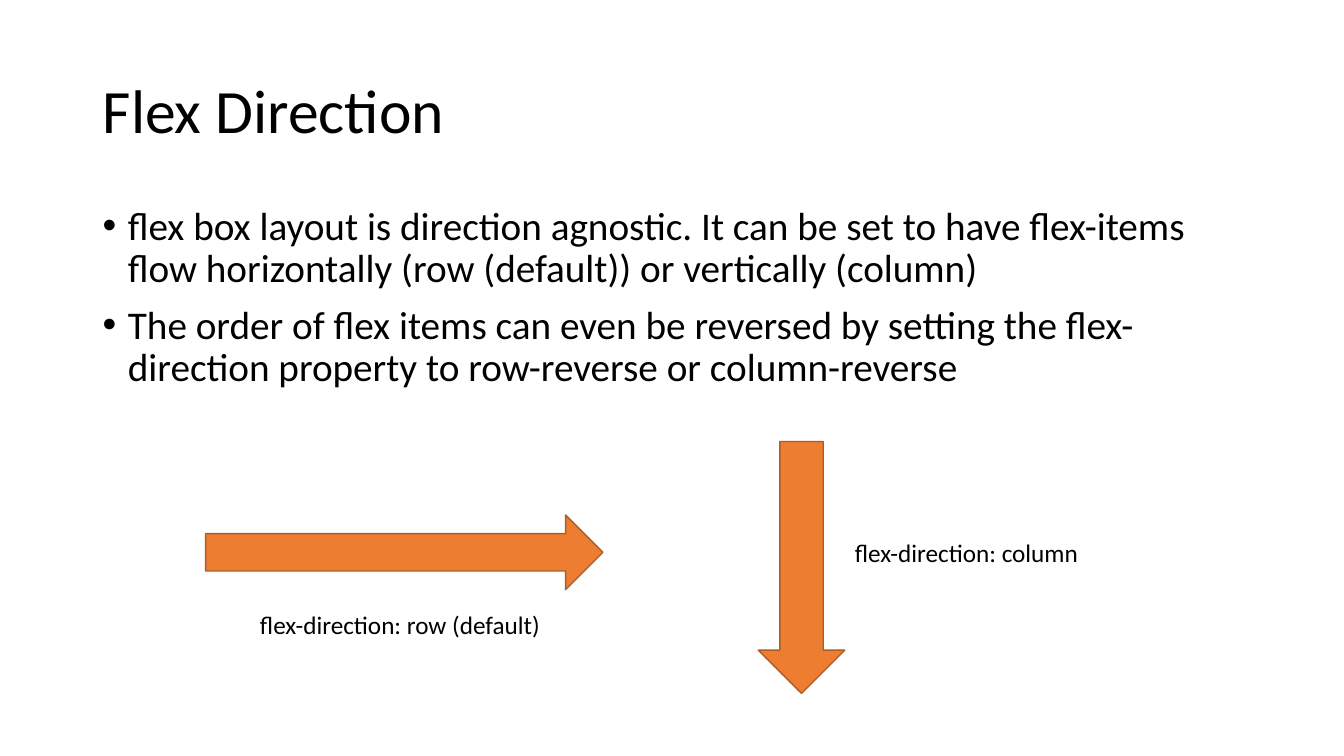
import pptx
import pptx.util
import pptx.dml.color
import pptx.enum.shapes
import pptx.enum.text
import lxml.etree
from pptx.oxml.ns import qn

Inches, Pt = pptx.util.Inches, pptx.util.Pt
SHAPE = pptx.enum.shapes.MSO_SHAPE
ANCHOR = pptx.enum.text.MSO_ANCHOR
ALIGN = pptx.enum.text.PP_ALIGN

COLORS = {"text": "000000", "arrow": "ED7D31", "outline": "AF5C24"}
FONT = "Calibri"
WIDTH, HEIGHT = 13.33, 7.5
MARGIN = 0.92
CONTENT_WIDTH = WIDTH - 2 * MARGIN

BULLETS = [
    "flex box layout is direction agnostic. It can be set to have flex-items "
    "flow horizontally (row (default)) or vertically (column)",
    "The order of flex items can even be reversed by setting the "
    "flex-direction property to row-reverse or column-reverse",
]


def color(name):
    return pptx.dml.color.RGBColor.from_string(COLORS[name])


def style(para, size):
    para.alignment = ALIGN.LEFT
    para.font.name = FONT
    para.font.size = Pt(size)
    para.font.color.rgb = color("text")


def add_text(page, box, lines, size):
    """Add a wrapped text box with one paragraph per line."""
    shape = page.shapes.add_textbox(*map(Inches, box))
    frame = shape.text_frame
    frame.word_wrap = True
    frame.text = "\n".join(lines)
    for para in frame.paragraphs:
        style(para, size)
    return frame


def add_title(page, box, text):
    title = page.shapes.title
    title.left, title.top, title.width, title.height = map(Inches, box)
    frame = title.text_frame
    frame.text = text
    frame.vertical_anchor = ANCHOR.MIDDLE
    para = frame.paragraphs[0]
    para.line_spacing = 0.9
    style(para, 44)


def add_bullets(page, box, lines):
    for para in add_text(page, box, lines, 28).paragraphs:
        para.line_spacing = 0.9
        para.space_before = Pt(10)
        properties = para._p.get_or_add_pPr()
        properties.set("marL", str(Inches(0.25)))
        properties.set("indent", str(-Inches(0.25)))
        font = lxml.etree.SubElement(properties, qn("a:buFont"))
        font.set("typeface", "Arial")
        lxml.etree.SubElement(properties, qn("a:buChar")).set("char", "•")


def add_direction(page, box, kind, label, label_box):
    """Add an arrow and its label; label_box is offset from the arrow's corner."""
    left, top, width, height = box
    arrow = page.shapes.add_shape(kind, *map(Inches, box))
    arrow.shadow.inherit = False
    arrow.fill.solid()
    arrow.fill.fore_color.rgb = color("arrow")
    arrow.line.color.rgb = color("outline")
    arrow.line.width = Pt(1)
    right, down, label_width, label_height = label_box
    add_text(page, (left + right, top + down, label_width, label_height), [label], 18)


def main():
    deck = pptx.Presentation()
    deck.slide_width, deck.slide_height = Inches(WIDTH), Inches(HEIGHT)
    page = deck.slides.add_slide(deck.slide_layouts[5])
    add_title(page, (MARGIN, 0.4, CONTENT_WIDTH, 1.45), "Flex Direction")
    add_bullets(page, (MARGIN, 2, CONTENT_WIDTH, 4.76), BULLETS)
    add_direction(page, (7.52, 4.38, 0.86, 2.5), SHAPE.DOWN_ARROW,
                  "flex-direction: column", (0.86, 0.9, 2.9, 0.4))
    add_direction(page, (2.04, 5.11, 3.94, 0.74), SHAPE.RIGHT_ARROW,
                  "flex-direction: row (default)", (0.44, 0.89, 3.22, 0.4))
    deck.save("out.pptx")


if __name__ == "__main__":
    main()
